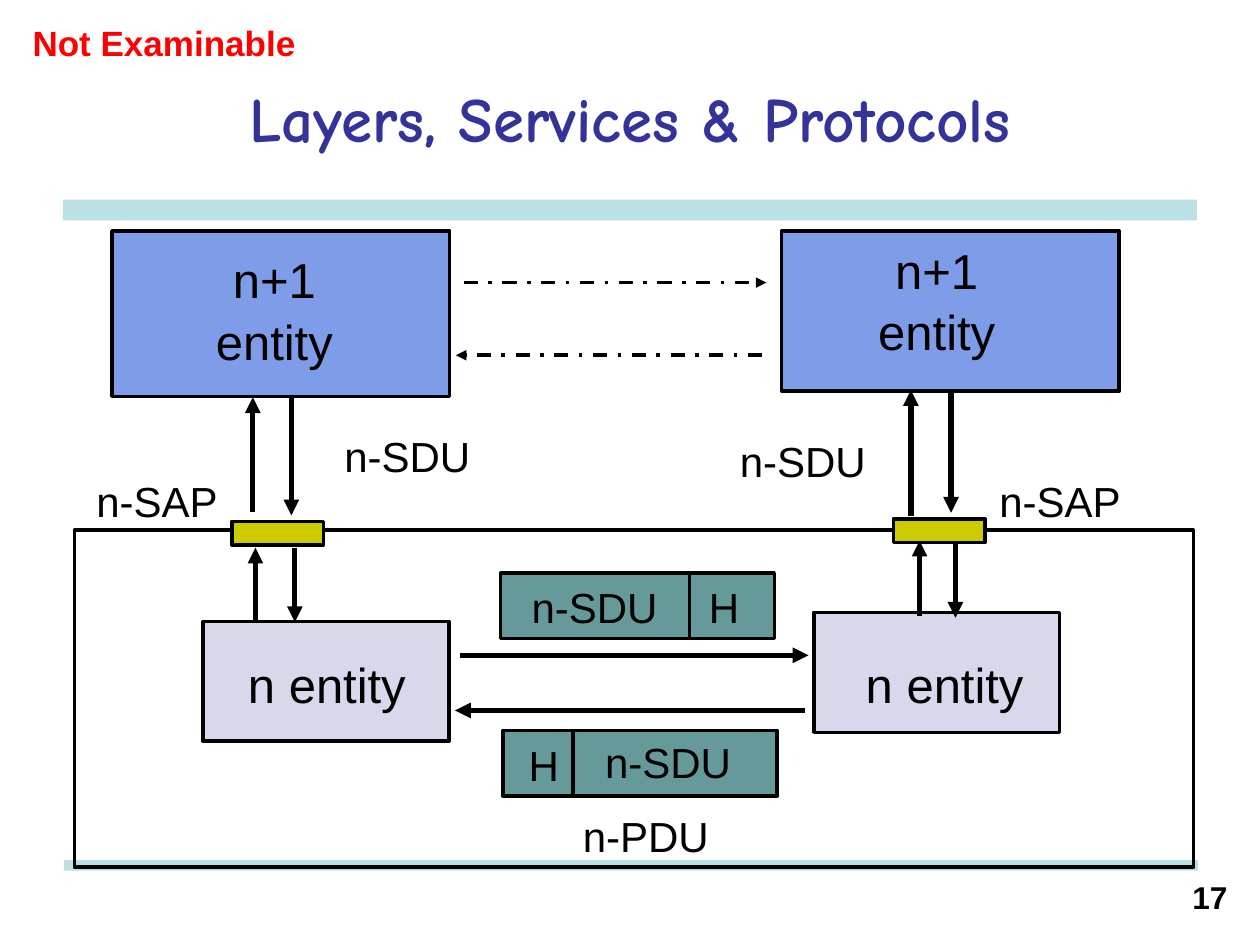
from lxml import etree
from pptx import Presentation
from pptx.dml.color import RGBColor
from pptx.enum.dml import MSO_LINE
from pptx.enum.shapes import MSO_CONNECTOR, MSO_SHAPE
from pptx.enum.text import MSO_ANCHOR, PP_ALIGN
from pptx.oxml.ns import qn
from pptx.util import Pt

RECT = MSO_SHAPE.RECTANGLE
STRAIGHT = MSO_CONNECTOR.STRAIGHT
DASH_DOT = MSO_LINE.DASH_DOT
TOP, MIDDLE = MSO_ANCHOR.TOP, MSO_ANCHOR.MIDDLE
LEFT, CENTER, RIGHT = PP_ALIGN.LEFT, PP_ALIGN.CENTER, PP_ALIGN.RIGHT

BLACK, RED, NAVY = "000000", "FF0000", "333399"
PALE_TEAL, BLUE, LAVENDER = "BBE0E3", "7E9CE8", "D8D8EC"
TEAL, YELLOW = "669999", "CCCC00"


def color(hex_string):
    return RGBColor.from_string(hex_string)


def set_font(p, size, hex_string=BLACK, bold=False, name="Arial"):
    p.font.name = name
    p.font.size = Pt(size)
    p.font.bold = bold
    p.font.color.rgb = color(hex_string)


def add_title(slide, text):
    sp = slide.shapes.title
    sp.left, sp.top, sp.width, sp.height = Pt(36), Pt(22), Pt(648), Pt(90)
    tf = sp.text_frame
    tf.text = text
    tf.vertical_anchor = MIDDLE
    p = tf.paragraphs[0]
    p.alignment = CENTER
    set_font(p, 36, NAVY, True, "Comic Neue")


def add_box(slide, x, y, w, h, fill=None, outlined=True):
    sp = slide.shapes.add_shape(RECT, Pt(x), Pt(y), Pt(w), Pt(h))
    sp.shadow.inherit = False
    if fill:
        sp.fill.solid()
        sp.fill.fore_color.rgb = color(fill)
    else:
        sp.fill.background()
    if outlined:
        sp.line.color.rgb = color(BLACK)
        sp.line.width = Pt(2)
    else:
        sp.line.fill.background()


def add_line(slide, x1, y1, x2, y2, width=3, dash=None, arrow=True):
    line = slide.shapes.add_connector(STRAIGHT, Pt(x1), Pt(y1), Pt(x2), Pt(y2))
    line.line.color.rgb = color(BLACK)
    line.line.width = Pt(width)
    if dash:
        line.line.dash_style = dash
    if arrow:
        ln = line.line._get_or_add_ln()
        etree.SubElement(ln, qn("a:tailEnd"), type="triangle")
    etree.SubElement(line._element.spPr, qn("a:effectLst"))


def add_text(slide, text, x, y, w, h, size=24, anchor=MIDDLE, align=CENTER,
             fill=BLACK, bold=False, wrap=False, spacing=None):
    tf = slide.shapes.add_textbox(Pt(x), Pt(y), Pt(w), Pt(h)).text_frame
    tf.word_wrap = wrap
    tf.vertical_anchor = anchor
    tf.text = text
    for p in tf.paragraphs:
        p.alignment = align
        p.line_spacing = spacing
        set_font(p, size, fill, bold)


def add_boxes(slide):
    add_box(slide, 36, 114, 648, 12, PALE_TEAL, outlined=False)
    add_box(slide, 36.5, 491.5, 648, 6, PALE_TEAL, outlined=False)
    add_box(slide, 64, 132, 193, 94.5, BLUE)
    add_box(slide, 446.5, 132, 193, 91.5, BLUE)
    add_box(slide, 42.5, 303, 639.5, 192.5)
    for x, y in [(116, 355), (465, 350)]:
        add_box(slide, x, y, 140.5, 68.5, LAVENDER)
    for x, y, divider in [(286, 327.5, 394), (287.5, 417.5, 327.5)]:
        add_box(slide, x, y, 156.5, 37.5, TEAL)
        add_line(slide, divider, y, divider, y + 37.5, width=2, arrow=False)
    for x, y in [(132.5, 298), (510.5, 296.5)]:
        add_box(slide, x, y, 52.5, 13.5, YELLOW)


def add_arrows(slide):
    for x1, x2, y in [(265, 438, 161.5), (435.5, 260.5, 203)]:
        add_line(slide, x1, y, x2, y, width=2, dash=DASH_DOT)
    for x1, x2, y in [(263, 462, 374.5), (460, 260, 406)]:
        add_line(slide, x1, y, x2, y)
    vertical = [
        (144.5, 292.5, 227), (166.5, 227, 294.5),
        (520.5, 295, 223), (543.5, 223, 293),
        (146, 355.5, 313), (168.5, 313, 355.5),
        (525.5, 352, 309), (546, 310.5, 353),
    ]
    for x, y1, y2 in vertical:
        add_line(slide, x, y1, x, y2)


def add_labels(slide):
    for x, y in [(116, 137.5), (494.5, 132)]:
        add_text(slide, "n+1\nentity", x, y, 81.5, 74, 28, TOP, spacing=1.05)
    for x in (134.5, 487.5):
        add_text(slide, "n entity", x, 368.5, 104.5, 40, 28, TOP, spacing=1.05)
    for x in (48, 564):
        add_text(slide, "n-SAP", x, 268, 83.5, 36)
    for x, y in [(189.5, 242.5), (415.5, 245.5), (296.5, 328.5), (338.5, 417)]:
        add_text(slide, "n-SDU", x, y, 86.5, 36)
    for x, y in [(398, 329), (295, 419)]:
        add_text(slide, "H", x, y, 31.5, 36)
    add_text(slide, "n-PDU", 324, 459.5, 90, 36, wrap=True)
    add_text(slide, "17", 660, 498, 48.5, 30, 18, TOP, RIGHT, bold=True, wrap=True)
    add_text(slide, "Not Examinable", 11.5, 8.5, 186.5, 31.5, 20, TOP, LEFT,
             RED, True, True)


def main():
    prs = Presentation()
    prs.slide_width, prs.slide_height = Pt(720), Pt(540)
    slide = prs.slides.add_slide(prs.slide_layouts[5])
    add_title(slide, "Layers, Services & Protocols")
    add_boxes(slide)
    add_arrows(slide)
    add_labels(slide)
    prs.save("out.pptx")


if __name__ == "__main__":
    main()
